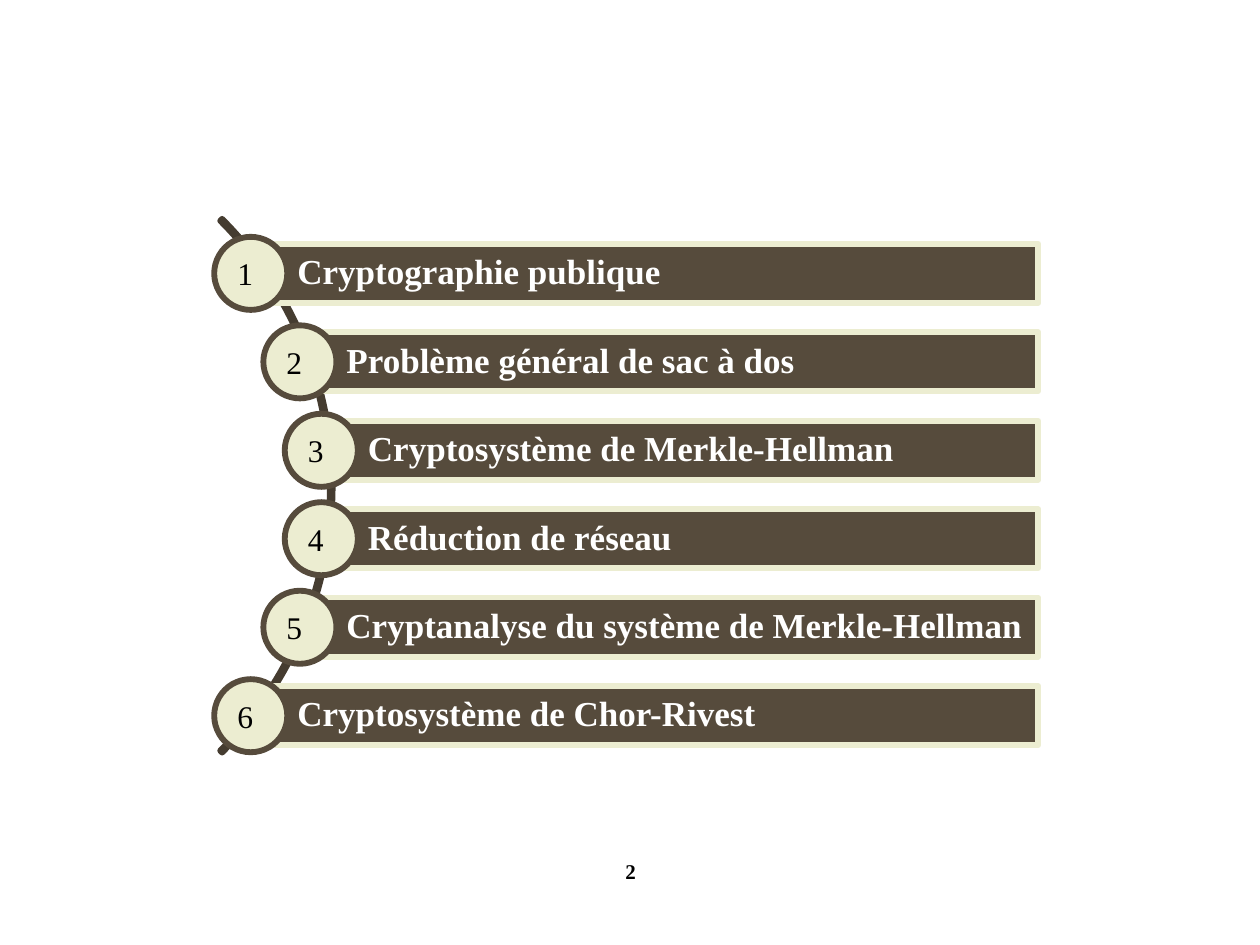
from dataclasses import dataclass

from pptx import Presentation
from pptx import util as u
from pptx.dml.color import RGBColor
from pptx.enum import shapes, text

BROWN = RGBColor(0x56, 0x4B, 0x3C)
DARK_BROWN = RGBColor(0x45, 0x3C, 0x30)
CREAM = RGBColor(0xEC, 0xED, 0xD1)
WHITE = RGBColor(0xFF, 0xFF, 0xFF)
BLACK = RGBColor(0, 0, 0)
FONT = "Times New Roman"
LINE_WIDTH = 3.35

# Lengths in inches
FIRST_ROW, LAST_ROW = 2.17, 5.68  # centre lines of the outer rows
FIRST_COLUMN, RIGHT_EDGE = 1.99, 8.24
BAR_HEIGHT, CIRCLE_SIZE = 0.47, 0.58
INDENTS = (0, 0.39, 0.56)  # steps along the arc, mirrored below the middle


@dataclass(frozen=True)
class Topic:
    title: str
    indent: float


TITLES = (
    "Cryptographie publique",
    "Problème général de sac à dos",
    "Cryptosystème de Merkle-Hellman",
    "Réduction de réseau",
    "Cryptanalyse du système de Merkle-Hellman",
    "Cryptosystème de Chor-Rivest",
)
TOPICS = [Topic(*pair) for pair in zip(TITLES, INDENTS + INDENTS[::-1])]
ROW_STEP = (LAST_ROW - FIRST_ROW) / (len(TOPICS) - 1)


def add_outlined(page, kind, left: float, top: float, width: float,
                 height: float, line: RGBColor, fill: RGBColor | None = None):
    shape = page.shapes.add_shape(kind, *map(u.Inches, (left, top, width, height)))
    shape.shadow.inherit = False
    shape.line.color.rgb = line
    shape.line.width = u.Pt(LINE_WIDTH)
    if fill is None:
        shape.fill.background()
    else:
        shape.fill.solid()
        shape.fill.fore_color.rgb = fill
    return shape


def write(box, words: str, size: float, color: RGBColor, bold: bool = False,
          align=text.PP_ALIGN.LEFT, insets=(0.1, 0.05, 0.1, 0.05)):
    """Fill the box with one run; insets are left, top, right, bottom."""
    frame = box.text_frame
    frame.word_wrap = True
    frame.vertical_anchor = text.MSO_ANCHOR.MIDDLE
    (frame.margin_left, frame.margin_top,
     frame.margin_right, frame.margin_bottom) = map(u.Inches, insets)
    para = frame.paragraphs[0]
    para.alignment = align
    span = para.add_run()
    span.text = words
    span.font.name = FONT
    span.font.size = u.Pt(size)
    span.font.bold = bold
    span.font.color.rgb = color
    return para


def add_arc(page) -> None:
    arc = add_outlined(page, shapes.MSO_SHAPE.BLOCK_ARC,
                       -3.35, 0.86, 5.99, 5.99, DARK_BROWN)
    for index, value in enumerate((189, 27, 0.0036)):
        arc.adjustments[index] = value


def add_topic(page, row: int, topic: Topic) -> None:
    left = FIRST_COLUMN + topic.indent
    middle = FIRST_ROW + row * ROW_STEP
    bar = add_outlined(page, shapes.MSO_SHAPE.RECTANGLE,
                       left, middle - BAR_HEIGHT / 2,
                       RIGHT_EDGE - left, BAR_HEIGHT, CREAM, BROWN)
    para = write(bar, topic.title, 20, WHITE, bold=True,
                 insets=(0.37, 0.06, 0.06, 0.06))
    para.line_spacing = 0.9
    circle = add_outlined(page, shapes.MSO_SHAPE.OVAL,
                          left - CIRCLE_SIZE / 2, middle - CIRCLE_SIZE / 2,
                          CIRCLE_SIZE, CIRCLE_SIZE, BROWN, CREAM)
    write(circle, str(row + 1), 18, BLACK)


def add_page_number(page, number: int) -> None:
    box = page.shapes.add_textbox(*map(u.Inches, (4.42, 6.75, 1.17, 0.33)))
    write(box, str(number), 12, BLACK, bold=True,
          align=text.PP_ALIGN.CENTER, insets=(0, 0, 0, 0))


def main() -> None:
    deck = Presentation()
    deck.slide_width, deck.slide_height = u.Inches(10), u.Inches(7.5)
    page = deck.slides.add_slide(deck.slide_layouts[6])
    add_arc(page)
    for row, topic in enumerate(TOPICS):
        add_topic(page, row, topic)
    add_page_number(page, 2)
    deck.save("out.pptx")


if __name__ == "__main__":
    main()
